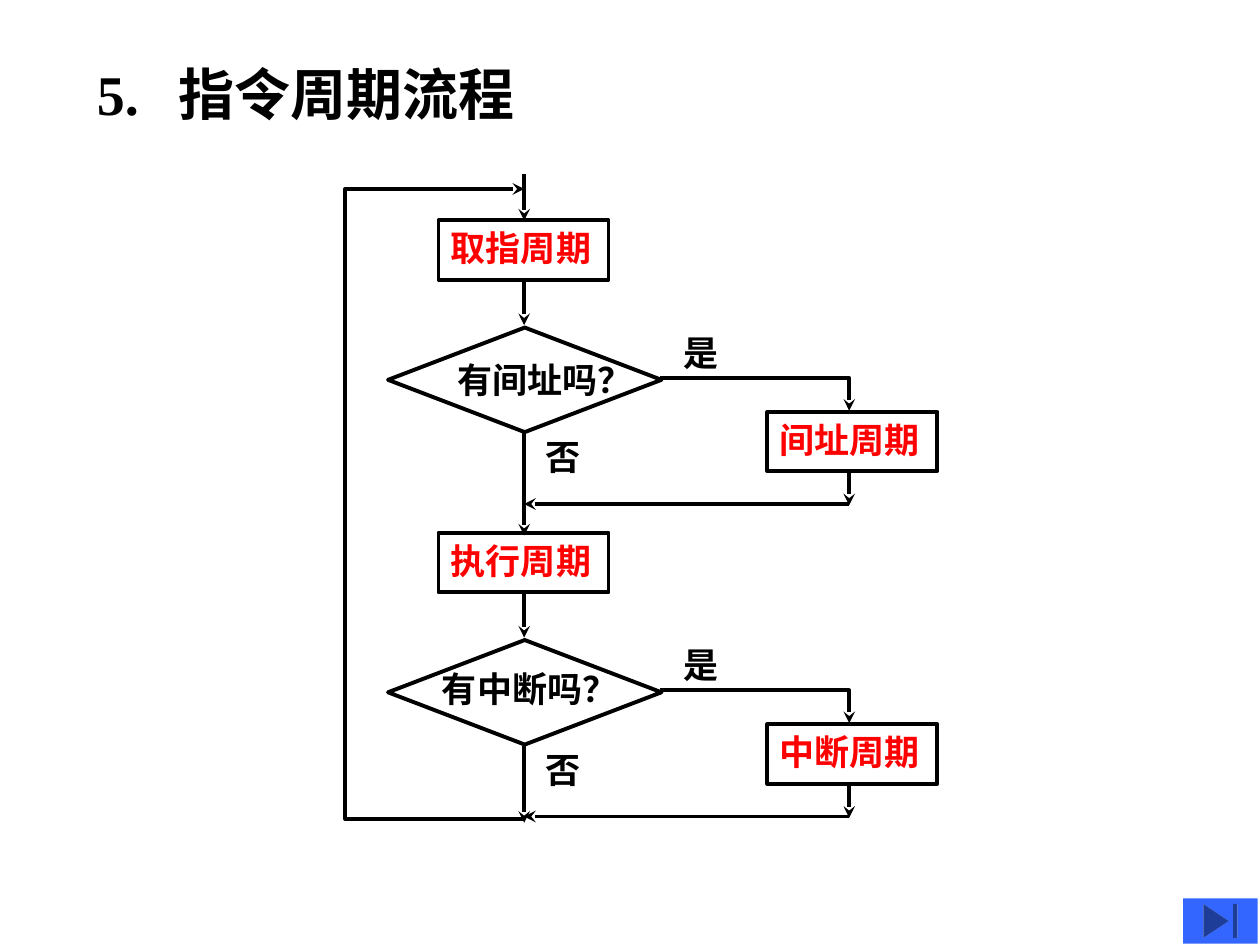
from pptx import Presentation
from pptx.dml.color import RGBColor
from pptx.enum.shapes import MSO_CONNECTOR, MSO_SHAPE
from pptx.enum.text import MSO_ANCHOR, PP_ALIGN
from pptx.oxml.ns import qn
from pptx.oxml.xmlchemy import OxmlElement
from pptx.util import Inches, Pt

COLORS = {"black": "000000", "red": "FF0000", "blue": "3366FF"}
FONT = "Times New Roman"
LINE_WIDTH = 2.25
MAIN_X = 4.16
BRANCH_X = 6.74
LOOP_X = 2.74
STAGE_STEP = 2.48


def rgb(name):
    return RGBColor.from_string(COLORS[name])


def write_text(shape, text, color="black", size=20, wrap=False):
    frame = shape.text_frame
    frame.word_wrap = wrap
    frame.vertical_anchor = MSO_ANCHOR.TOP
    paragraph = frame.paragraphs[0]
    paragraph.alignment = PP_ALIGN.LEFT
    run = paragraph.add_run()
    run.text = text
    run.font.name = FONT
    run.font.size = Pt(size)
    run.font.bold = True
    run.font.color.rgb = rgb(color)
    return paragraph


def add_label(slide, text, left, top, width=0.48, height=0.43):
    box = slide.shapes.add_textbox(Inches(left), Inches(top), Inches(width), Inches(height))
    write_text(box, text)


def add_title(slide):
    box = slide.shapes.add_textbox(Inches(0.67), Inches(0.42), Inches(6.25), Inches(0.63))
    paragraph = write_text(box, "5.\t指令周期流程", size=32, wrap=True)
    tabs = OxmlElement("a:tabLst")
    tab = OxmlElement("a:tab")
    tab.set("pos", str(Inches(0.65)))
    tab.set("algn", "l")
    tabs.append(tab)
    paragraph._p.get_or_add_pPr().append(tabs)


def add_outline(slide, kind, left, top, width, height, outlined=True):
    shape = slide.shapes.add_shape(kind, Inches(left), Inches(top), Inches(width), Inches(height))
    shape.shadow.inherit = False
    shape.fill.background()
    if outlined:
        shape.line.color.rgb = rgb("black")
        shape.line.width = Pt(LINE_WIDTH)
    else:
        shape.line.fill.background()
    return shape


def add_cycle(slide, text, left, top):
    shape = add_outline(slide, MSO_SHAPE.RECTANGLE, left, top, 1.35, 0.47)
    write_text(shape, text, "red")


def style_arrow(shape):
    shape.line.color.rgb = rgb("black")
    shape.line.width = Pt(LINE_WIDTH)
    properties = shape._element.spPr
    tail = OxmlElement("a:tailEnd")
    tail.set("type", "stealth")
    properties.find(qn("a:ln")).append(tail)


def add_arrow(slide, start, end):
    connector = slide.shapes.add_connector(
        MSO_CONNECTOR.STRAIGHT, *(Inches(value) for value in (*start, *end)))
    style_arrow(connector)
    connector._element.spPr.append(OxmlElement("a:effectLst"))


def add_bent_arrow(slide, points):
    corners = [(Inches(x), Inches(y)) for x, y in points]
    builder = slide.shapes.build_freeform(*corners[0])
    builder.add_line_segments(corners[1:], close=False)
    shape = builder.convert_to_shape()
    shape.shadow.inherit = False
    shape.fill.background()
    style_arrow(shape)


def add_stage(slide, top, cycle, branch_cycle):
    """Draw a cycle, the decision below it and the branch on its right."""
    add_cycle(slide, cycle, 3.48, top)
    add_arrow(slide, (MAIN_X, top + 0.46), (MAIN_X, top + 0.83))
    add_outline(slide, MSO_SHAPE.DIAMOND, 3.08, top + 0.85, 2.17, 0.83)
    add_label(slide, "是", 5.33, top + 0.83)
    add_bent_arrow(slide, [(5.24, top + 1.25), (BRANCH_X, top + 1.25), (BRANCH_X, top + 1.51)])
    add_cycle(slide, branch_cycle, 6.09, top + 1.52)
    add_arrow(slide, (BRANCH_X, top + 1.99), (BRANCH_X, top + 2.26))
    add_arrow(slide, (BRANCH_X, top + 2.25), (MAIN_X, top + 2.25))
    add_label(slide, "否", 4.23, top + 1.66)


def add_end_button(slide):
    button = slide.shapes.add_shape(
        MSO_SHAPE.ACTION_BUTTON_END, Inches(9.39), Inches(7.13), Inches(0.59), Inches(0.36))
    button.shadow.inherit = False
    button.fill.solid()
    button.fill.fore_color.rgb = rgb("blue")
    button.line.fill.background()


def main():
    presentation = Presentation()
    presentation.slide_width = Inches(10)
    presentation.slide_height = Inches(7.5)
    slide = presentation.slides.add_slide(presentation.slide_layouts[6])
    add_title(slide)
    add_arrow(slide, (MAIN_X, 1.38), (MAIN_X, 1.75))
    first_top = 1.75
    add_stage(slide, first_top, "取指周期", "间址周期")
    add_stage(slide, first_top + STAGE_STEP, "执行周期", "中断周期")
    question = add_outline(slide, MSO_SHAPE.DIAMOND, 2.78, 2.6, 3, 0.77, outlined=False)
    write_text(question, "有间址吗？")
    add_label(slide, "有中断吗？", 3.41, 5.25, width=1.6)
    add_arrow(slide, (MAIN_X, 3.44), (MAIN_X, 4.25))
    add_arrow(slide, (MAIN_X, 5.92), (MAIN_X, 6.53))
    add_bent_arrow(slide, [(MAIN_X, 6.5), (LOOP_X, 6.5), (LOOP_X, 1.5), (MAIN_X, 1.5)])
    add_end_button(slide)
    presentation.save("out.pptx")


if __name__ == "__main__":
    main()
